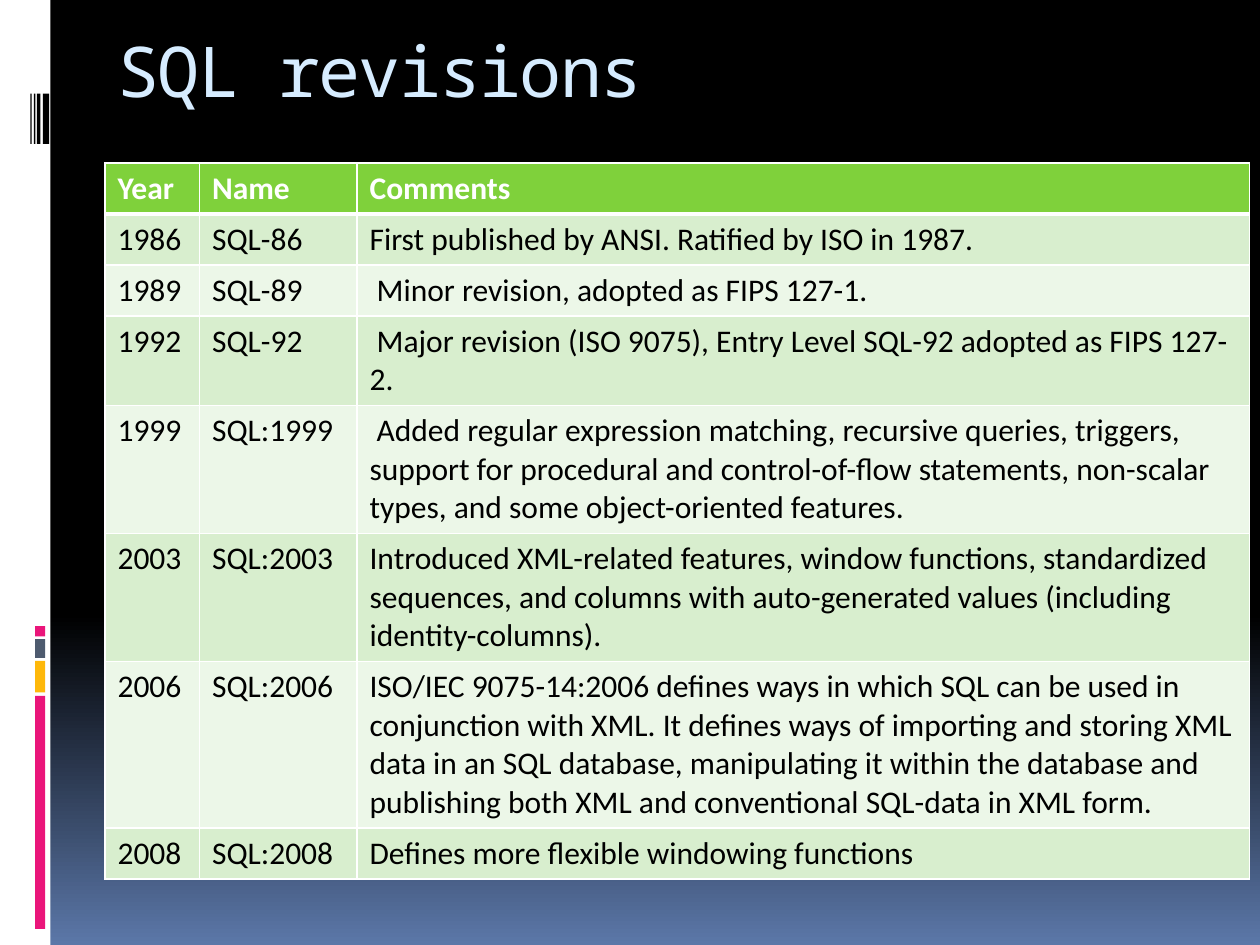
from copy import deepcopy

from pptx import Presentation
from pptx.dml.color import RGBColor
from pptx.enum.shapes import MSO_SHAPE as Shape
from pptx.enum.text import MSO_ANCHOR as Anchor, PP_ALIGN as Align
from pptx.oxml.ns import qn
from pptx.oxml.xmlchemy import OxmlElement as Node
from pptx.util import Pt

TITLE = "SQL revisions"
HEAD = ("Year", "Name", "Comments")
ROWS = [
    ("1986", "SQL-86", "First published by ANSI. Ratified by ISO in 1987."),
    ("1989", "SQL-89", " Minor revision, adopted as FIPS 127-1."),
    ("1992", "SQL-92", " Major revision (ISO 9075), Entry Level SQL-92 "
     "adopted as FIPS 127-2."),
    ("1999", "SQL:1999", " Added regular expression matching, recursive "
     "queries, triggers, support for procedural and control-of-flow "
     "statements, non-scalar types, and some object-oriented features."),
    ("2003", "SQL:2003", "Introduced XML-related features, window functions, "
     "standardized sequences, and columns with auto-generated values "
     "(including identity-columns)."),
    ("2006", "SQL:2006", "ISO/IEC 9075-14:2006 defines ways in which SQL can "
     "be used in conjunction with XML. It defines ways of importing and "
     "storing XML data in an SQL database, manipulating it within the "
     "database and publishing both XML and conventional SQL-data in XML "
     "form."),
    ("2008", "SQL:2008", "Defines more flexible windowing functions"),
]
WIDTHS = (54, 90, 510)
ROW_H = 29.2
SKY = [(0, "000000"), (0.65, "000000"), (1, "5B77A8")]
PINK, GOLD, SLATE = "EA157A", "FEB80A", "4E5B6F"
BLOCKS = [(357.8, 5.8, PINK), (365.2, 10.8, SLATE),
          (377.7, 18, GOLD), (397.6, 133.2, PINK)]  # top, height, colour
STRIPES = [(24.5, 3.6), (21.1, 2), (19.4, 0.9), (17.4, 0.7)]  # left, width


def rgb(code):
    return RGBColor.from_string(code)


def write(frame, text, font="Calibri", size=18, color="000000", bold=False,
          space=None):
    para = frame.paragraphs[0]
    para.alignment = Align.LEFT
    run = para.add_run()
    run.text = text
    face = run.font
    face.name, face.size, face.bold = font, Pt(size), bold
    face.color.rgb = rgb(color)
    if space:
        run.font._element.set("spc", str(space * 100))


def paint(slide):
    """Fill the background with the vertical gradient."""
    fill = slide.background.fill
    fill.gradient()
    fill.gradient_angle = 270
    stops = slide.element.find(".//" + qn("a:gsLst"))
    stops.insert(0, deepcopy(stops[0]))
    for stop, (pos, code) in zip(fill.gradient_stops, SKY):
        stop.position = pos
        stop.color.rgb = rgb(code)


def bar(slide, left, top, width, height, color):
    shape = slide.shapes.add_shape(
        Shape.RECTANGLE, Pt(left), Pt(top), Pt(width), Pt(height))
    shape.shadow.inherit = False
    shape.fill.solid()
    shape.fill.fore_color.rgb = rgb(color)
    shape.line.fill.background()


def edge(cell, base=1):
    """Draw white borders, the bottom one base points wide."""
    props = cell._tc.get_or_add_tcPr()
    sides = [("lnL", 1), ("lnR", 1), ("lnT", 1), ("lnB", base)]
    for i, (side, width) in enumerate(sides):
        line = Node("a:" + side)
        line.set("w", str(Pt(width)))
        fill = Node("a:solidFill")
        tint = Node("a:srgbClr")
        tint.set("val", "FFFFFF")
        fill.append(tint)
        line.append(fill)
        props.insert(i, line)


def add_grid(slide):
    rows = [HEAD] + ROWS
    grid = slide.shapes.add_table(
        len(rows), len(HEAD), Pt(60), Pt(93), Pt(sum(WIDTHS)),
        Pt(ROW_H * len(rows))).table
    for col, width in zip(grid.columns, WIDTHS):
        col.width = Pt(width)
    for r, row in enumerate(rows):
        grid.rows[r].height = Pt(ROW_H)
        top = r == 0
        back = "7FD13B" if top else ("ECF7E8", "D8EECE")[r % 2]
        for c, text in enumerate(row):
            cell = grid.cell(r, c)
            cell.fill.solid()
            cell.fill.fore_color.rgb = rgb(back)
            edge(cell, 3 if top else 1)
            write(cell.text_frame, text, bold=top,
                  color="FFFFFF" if top else "000000")


def main():
    deck = Presentation()
    deck.slide_width, deck.slide_height = Pt(720), Pt(540)
    slide = deck.slides.add_slide(deck.slide_layouts[5])
    paint(slide)

    bar(slide, 0, 0, 28.8, 540, "FFFFFF")
    for top, height, color in BLOCKS:
        bar(slide, 20, top, 5.8, height, color)
    for left, width in STRIPES:
        bar(slide, left, 53.5, width, 28.8, "000000")

    title = slide.shapes.title
    title.left, title.top = Pt(60), Pt(12)
    title.width, title.height = Pt(612), Pt(60)
    title.text_frame.vertical_anchor = Anchor.TOP
    write(title.text_frame, TITLE, font="Noto Sans Mono", size=40,
          color="D6ECFF", space=-1)
    add_grid(slide)
    deck.save("out.pptx")


if __name__ == "__main__":
    main()
